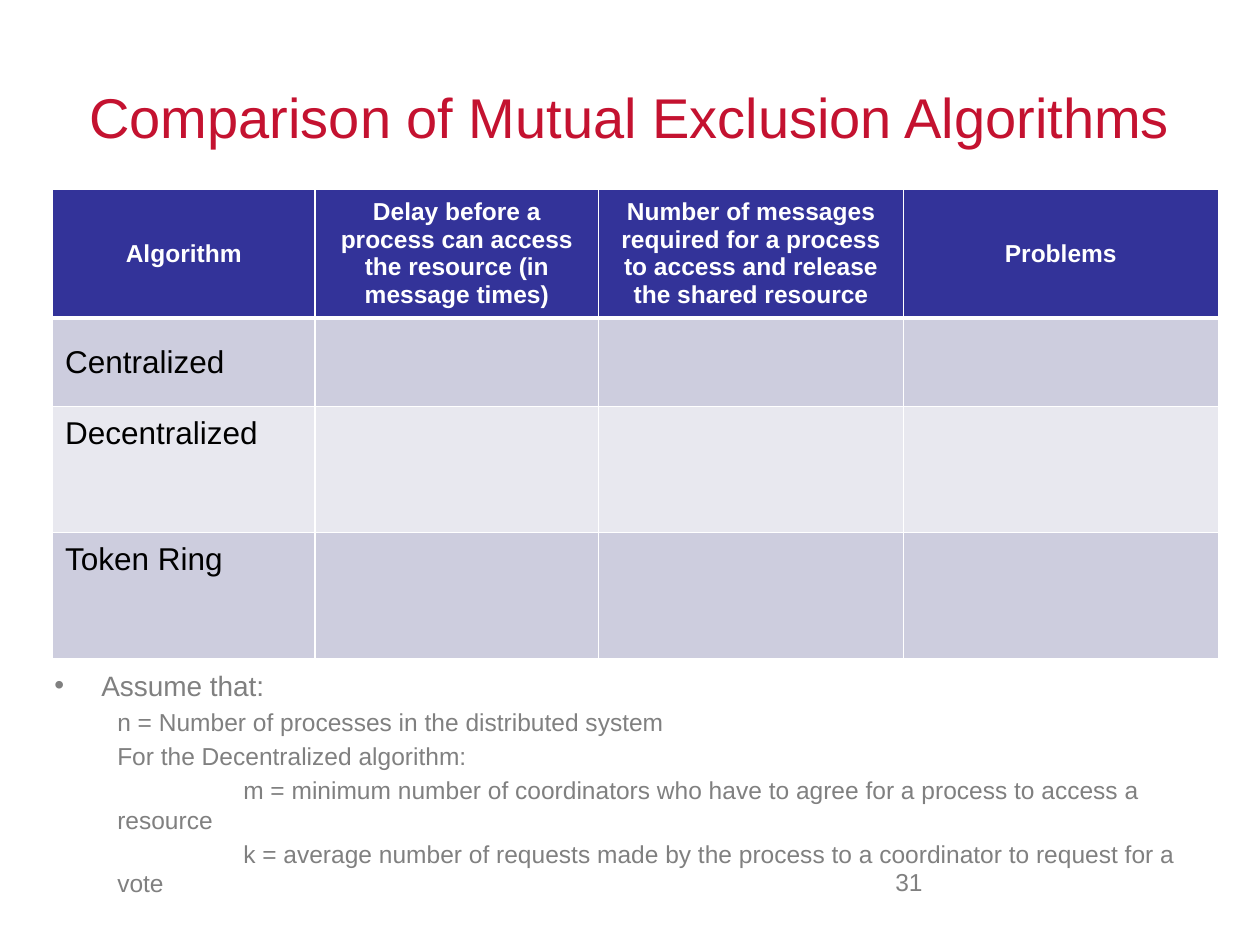
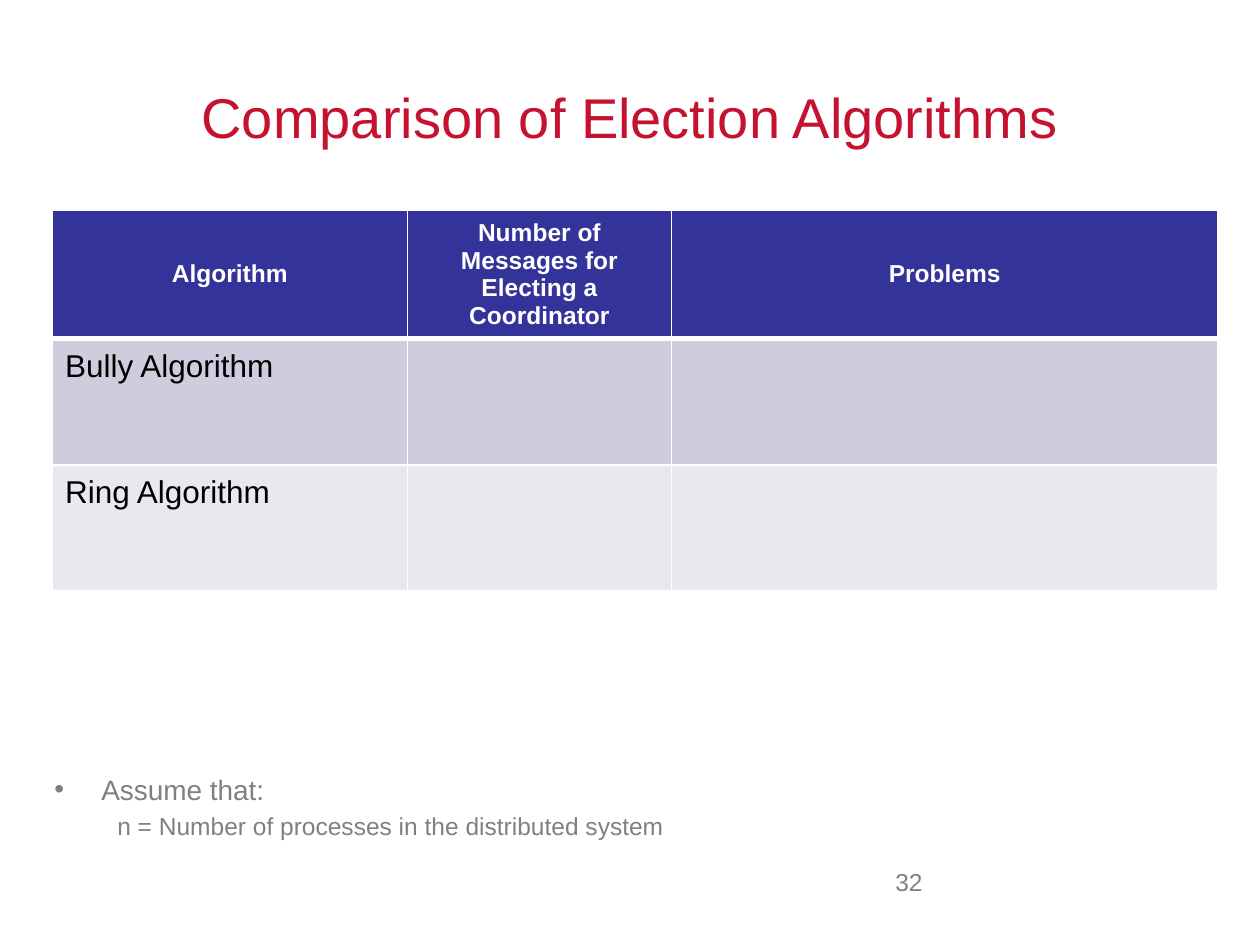
from lxml import etree
from pptx import Presentation
from pptx.dml.color import RGBColor
from pptx.enum.text import MSO_ANCHOR, MSO_AUTO_SIZE, PP_ALIGN
from pptx.oxml.ns import qn
from pptx.util import Cm, Pt

CENTER, LEFT, RIGHT = PP_ALIGN.CENTER, PP_ALIGN.LEFT, PP_ALIGN.RIGHT
TOP, MIDDLE = MSO_ANCHOR.TOP, MSO_ANCHOR.MIDDLE
NO_AUTOFIT = MSO_AUTO_SIZE.NONE

RED = RGBColor(0xC4, 0x12, 0x30)
GRAY = RGBColor(0x80, 0x80, 0x80)
BLACK = RGBColor(0, 0, 0)
WHITE = RGBColor(0xFF, 0xFF, 0xFF)
HEADER_BLUE = RGBColor(0x33, 0x33, 0x99)
ROW_BANDS = (RGBColor(0xCD, 0xCD, 0xDE), RGBColor(0xE8, 0xE8, 0xEF))

FONT = "Arial"
TABLE_LEFT = 1.06
HEADER_HEIGHT = 2.6
THIN, THICK = Pt(1), Pt(3)


class Deck:
    def __init__(self):
        self.presentation = Presentation()
        self.presentation.slide_width = Cm(25.4)
        self.presentation.slide_height = Cm(19.05)
        self.slide = None

    def add_slide(self, title):
        layout = self.presentation.slide_layouts[1]
        self.slide = self.presentation.slides.add_slide(layout)
        heading = self.slide.shapes.title
        self.place(heading, 1.27, 0.76, 22.86, 3.18)
        heading.text_frame.text = title
        heading.text_frame.vertical_anchor = MIDDLE
        self.style(heading.text_frame.paragraphs[0], 32, RED, CENTER)

    def place(self, shape, left, top, width, height):
        shape.left, shape.top = Cm(left), Cm(top)
        shape.width, shape.height = Cm(width), Cm(height)
        shape.text_frame.auto_size = NO_AUTOFIT
        shape.text_frame.word_wrap = True

    def style(self, paragraph, size, color, align=LEFT, bold=False):
        paragraph.alignment = align
        for run in paragraph.runs:
            run.font.name = FONT
            run.font.size = Pt(size)
            run.font.bold = bold
            run.font.color.rgb = color

    def add_assumptions(self, assumptions, top, height):
        body = self.slide.placeholders[1]
        self.place(body, 0.84, top, 23.44, height)
        frame = body.text_frame
        frame.vertical_anchor = TOP
        frame.text = "Assume that:"
        lead = frame.paragraphs[0]
        lead.space_before = Pt(0)
        self.style(lead, 16, GRAY)
        self.set_indent(lead, 0.95, -0.95)
        self.add_bullet(lead)
        for assumption in assumptions:
            paragraph = frame.add_paragraph()
            paragraph.text = assumption
            paragraph.level = 1
            paragraph.space_before = Pt(2.8)
            self.style(paragraph, 14, GRAY)
            properties = self.set_indent(paragraph, 1.27, 0)
            etree.SubElement(properties, qn("a:buNone"))

    def set_indent(self, paragraph, margin, indent):
        properties = paragraph._p.get_or_add_pPr()
        properties.set("marL", str(Cm(margin)))
        properties.set("indent", str(Cm(indent)))
        properties.set("defTabSz", str(Cm(2.54)))
        return properties

    def add_bullet(self, paragraph):
        properties = paragraph._p.get_or_add_pPr()
        color = etree.SubElement(properties, qn("a:buClr"))
        etree.SubElement(color, qn("a:srgbClr"), val=str(GRAY))
        etree.SubElement(properties, qn("a:buFont"), typeface=FONT)
        etree.SubElement(properties, qn("a:buChar"), char="•")

    def add_page_number(self, number):
        box = self.slide.shapes.add_textbox(0, 0, 0, 0)
        self.place(box, 16.51, 17.35, 2.34, 1.32)
        box.text_frame.text = str(number)
        self.style(box.text_frame.paragraphs[0], 14, GRAY, RIGHT)

    def add_comparison(self, top, headings, widths, algorithms):
        heights = [HEADER_HEIGHT] + [height for _, height, _ in algorithms]
        table = self.slide.shapes.add_table(
            len(heights), len(widths), Cm(TABLE_LEFT), Cm(top),
            Cm(sum(widths)), Cm(sum(heights))).table
        for column, width in zip(table.columns, widths):
            column.width = Cm(width)
        for row, height in zip(table.rows, heights):
            row.height = Cm(height)

        for cell, heading in zip(table.rows[0].cells, headings):
            self.format_cell(cell, HEADER_BLUE, THIN, THICK)
            cell.text_frame.text = heading
            cell.vertical_anchor = MIDDLE
            self.style(cell.text_frame.paragraphs[0], 14, WHITE, CENTER, True)

        for index, (algorithm, _, anchor) in enumerate(algorithms):
            cells = table.rows[index + 1].cells
            for cell in cells:
                self.format_cell(cell, ROW_BANDS[index % 2],
                                 THIN if index else THICK, THIN)
            name_cell = cells[0]
            name_cell.text_frame.text = algorithm
            name_cell.vertical_anchor = anchor
            if anchor == TOP:
                name_cell.margin_top = Cm(0.2)
            self.style(name_cell.text_frame.paragraphs[0], 18, BLACK)

    def format_cell(self, cell, color, top_width, bottom_width):
        properties = cell._tc.get_or_add_tcPr()
        edges = {"L": THIN, "R": THIN, "T": top_width, "B": bottom_width}
        for side, width in edges.items():
            line = etree.SubElement(properties, qn(f"a:ln{side}"), w=str(width))
            fill = etree.SubElement(line, qn("a:solidFill"))
            etree.SubElement(fill, qn("a:srgbClr"), val=str(WHITE))
        cell.fill.solid()
        cell.fill.fore_color.rgb = color


def main():
    deck = Deck()
    process_count = "n = Number of processes in the distributed system"

    deck.add_slide("Comparison of Mutual Exclusion Algorithms")
    deck.add_assumptions([
        process_count,
        "For the Decentralized algorithm:",
        "\tm = minimum number of coordinators who have to agree "
        "for a process to access a resource",
        "\tk = average number of requests made by the process "
        "to a coordinator to request for a vote",
    ], 13.34, 4.24)
    deck.add_page_number(31)
    deck.add_comparison(
        3.81,
        ["Algorithm",
         "Delay before a process can access the resource (in message times)",
         "Number of messages required for a process to access "
         "and release the shared resource",
         "Problems"],
        [5.29, 5.72, 6.14, 6.35],
        [("Centralized", 1.78, MIDDLE),
         ("Decentralized", 2.54, TOP),
         ("Token Ring", 2.54, TOP)])

    deck.add_slide("Comparison of Election Algorithms")
    deck.add_assumptions([process_count], 15.44, 1.91)
    deck.add_page_number(32)
    deck.add_comparison(
        4.23,
        ["Algorithm", "Number of Messages for Electing a Coordinator", "Problems"],
        [7.15, 5.33, 11.01],
        [("Bully Algorithm", 2.54, TOP), ("Ring Algorithm", 2.54, TOP)])

    deck.presentation.save("out.pptx")


if __name__ == "__main__":
    main()
